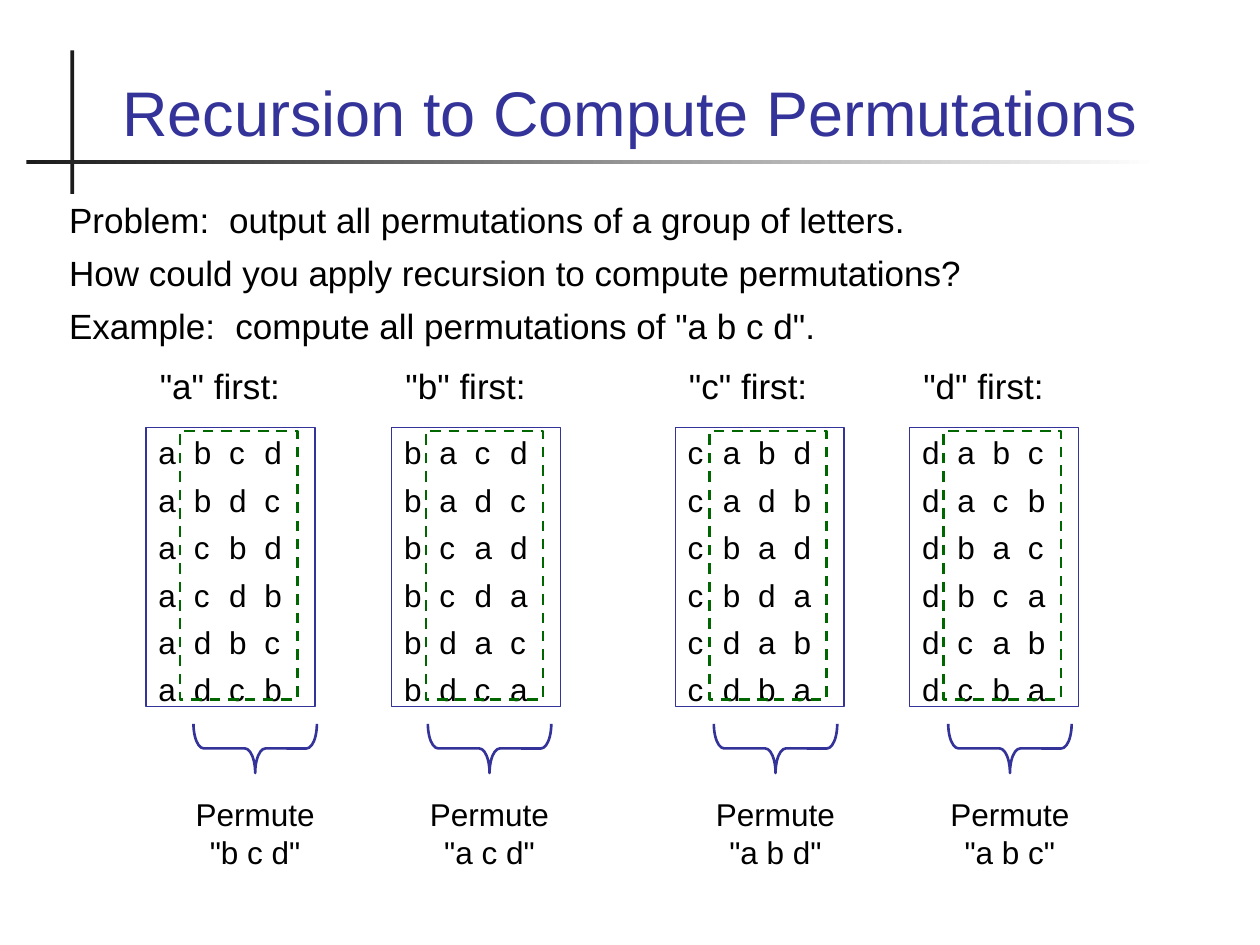
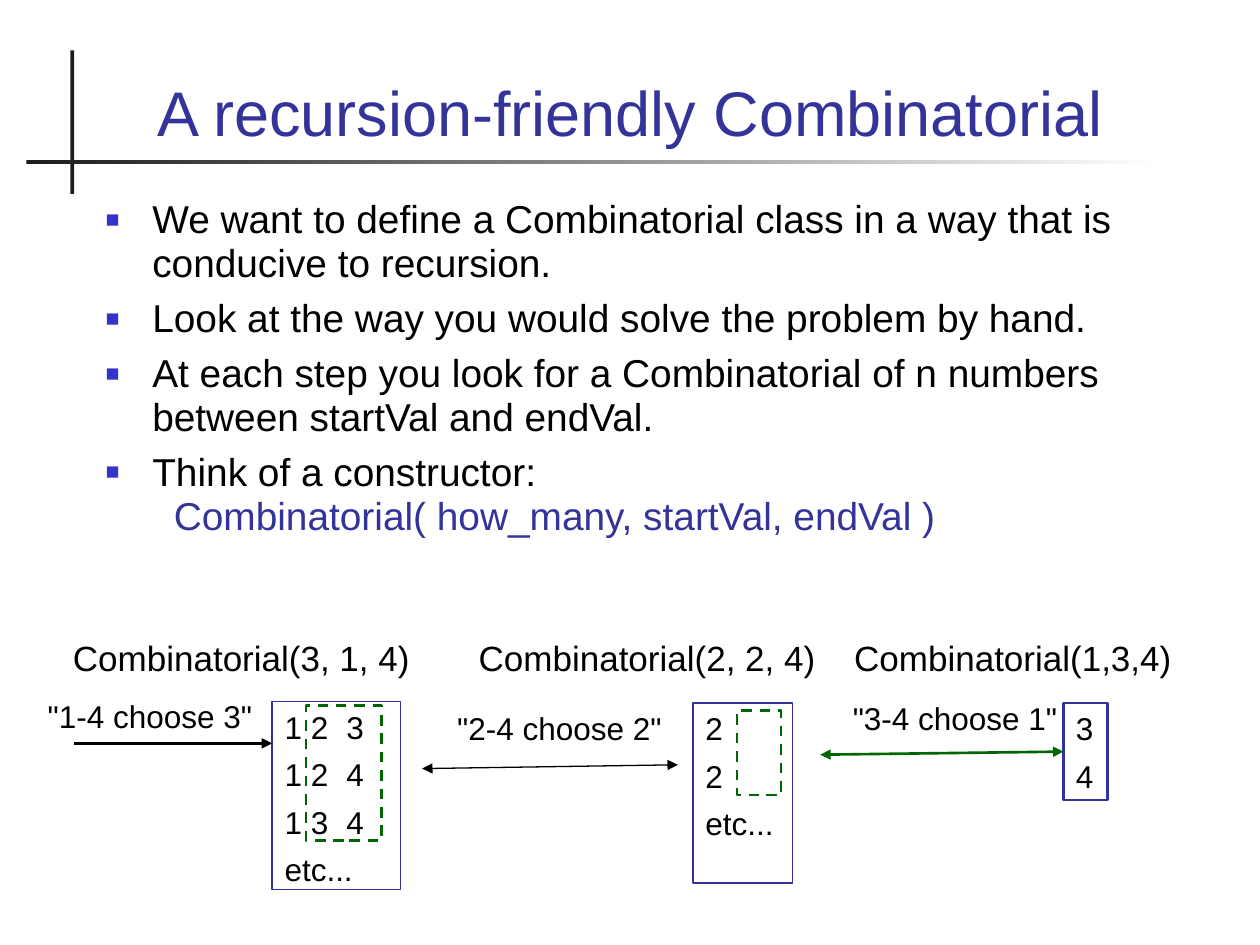
from itertools import permutations
from typing import NamedTuple, Optional, Sequence

from lxml import etree
from pptx import Presentation
from pptx import util as u
from pptx.dml.color import RGBColor
from pptx.enum import dml, shapes, text
from pptx.oxml import ns
from pptx.util import Inches

COLORS = {
    "ink": "000000",
    "navy": "333399",
    "bullet": "3333CC",
    "green": "006600",
    "rule": "1C1C1C",
    "paper": "FFFFFF",
}
FONT = "Arial"
LEFT, CENTER = text.PP_ALIGN.LEFT, text.PP_ALIGN.CENTER


class Box(NamedTuple):
    left: float
    top: float
    width: float
    height: float

    def lengths(self) -> list:
        return [Inches(side) for side in self]


class Style(NamedTuple):
    size: float = 18
    color: str = "ink"
    align: text.PP_ALIGN = LEFT
    before: float = 0
    spacing: Optional[float] = None


class Column(NamedTuple):
    first: str
    left: float
    brace_left: float


class Arrow(NamedTuple):
    start: tuple
    end: tuple
    color: str
    width: float
    double: bool


class Caption(NamedTuple):
    words: str
    box: Box


ROWS = Style(before=5.5)
PROSE = Style(size=20, before=6)
POINTS = Style(size=22.2, before=6.3, spacing=0.94)
TITLE = Style(size=36, color="navy", align=CENTER)

TITLE_BOX = Box(0.67, 0.28, 8.66, 0.95)
UPRIGHT_RULE = Box(0.56, 0.4, 0.03, 1.14)
LEVEL_RULE = Box(0.21, 1.27, 8.99, 0.03)

LETTERS = "abcd"
LETTER_STEP = 0.28
COLUMNS = [
    Column("a", 1.16, 1.83),
    Column("b", 3.11, 3.69),
    Column("c", 5.36, 5.96),
    Column("d", 7.22, 7.82),
]
INTRO = [
    ("Problem:\toutput all permutations of a group of letters.", [1.27]),
    ("How could you apply recursion to compute permutations?", []),
    ('Example:\tcompute all permutations of "a b c d".', [1.32]),
]
CLASS_POINTS = [
    "We want to define a Combinatorial class in a way that is conducive to recursion.",
    "Look at the way you would solve the problem by hand.",
    "At each step you look for a Combinatorial of n numbers between startVal and endVal.",
    "Think of a constructor:\v  Combinatorial( how_many, startVal, endVal )",
]
CHOICES = [
    Caption('"1-4 choose 3"', Box(0.28, 5.48, 1.88, 0.4)),
    Caption('"2-4 choose 2"', Box(3.53, 5.58, 1.88, 0.4)),
    Caption('"3-4 choose 1"', Box(6.67, 5.5, 2.1, 0.4)),
]


def rgb(name: str) -> RGBColor:
    return RGBColor.from_string(COLORS[name])


def add_child(parent, tag: str, **attributes: str):
    child = etree.SubElement(parent, ns.qn(tag))
    for key, value in attributes.items():
        child.set(key, value)
    return child


def set_tabs(paragraph, stops: Sequence[float]) -> None:
    if stops:
        tab_list = add_child(paragraph._p.get_or_add_pPr(), "a:tabLst")
        for stop in stops:
            add_child(tab_list, "a:tab", pos=str(Inches(stop)), algn="l")


def set_bullet(paragraph) -> None:
    properties = paragraph._p.get_or_add_pPr()
    indent = Inches(0.37)
    properties.set("marL", str(indent))
    properties.set("indent", str(-indent))
    add_child(add_child(properties, "a:buClr"), "a:srgbClr", val=COLORS["bullet"])
    add_child(properties, "a:buSzPct", val="60000")
    add_child(properties, "a:buFont", typeface=FONT)
    add_child(properties, "a:buChar", char="■")


def write(frame, lines: Sequence[str], style: Style, tabs: Sequence[float] = ()) -> None:
    """Fill a text frame with one paragraph per line."""
    frame.word_wrap = True
    frame.vertical_anchor = text.MSO_ANCHOR.TOP
    for number, line in enumerate(lines):
        paragraph = frame.add_paragraph() if number else frame.paragraphs[0]
        paragraph.text = line
        if "\t" in line:
            set_tabs(paragraph, tabs)
        paragraph.alignment = style.align
        paragraph.space_before = u.Pt(style.before if number else 0)
        if style.spacing:
            paragraph.line_spacing = style.spacing
        for run in paragraph.runs:
            run.font.name = FONT
            run.font.size = u.Pt(style.size)
            run.font.color.rgb = rgb(style.color)


def add_text(slide, box: Box, lines: Sequence[str], style: Style, tabs: Sequence[float] = ()):
    frame = slide.shapes.add_textbox(*box.lengths()).text_frame
    write(frame, lines, style, tabs)
    return frame


def add_outline(slide, box: Box, color: str, width: float, kind=shapes.MSO_SHAPE.RECTANGLE):
    outline = slide.shapes.add_shape(kind, *box.lengths())
    outline.shadow.inherit = False
    outline.fill.background()
    outline.line.color.rgb = rgb(color)
    outline.line.width = u.Pt(width)
    return outline


def add_listing(slide, box: Box, rows: Sequence[str], tabs: Sequence[float] = (), width: float = 0.75):
    listing = add_outline(slide, box, "navy", width)
    write(listing.text_frame, rows, ROWS, tabs)
    return listing


def add_subproblem(slide, box: Box) -> None:
    """Dashed frame around the part that recursion handles."""
    add_outline(slide, box, "green", 1.5).line.dash_style = dml.MSO_LINE.DASH


def add_brace(slide, left: float) -> None:
    brace = add_outline(slide, Box(left, 5.45, 0.39, 0.98), "navy", 1.5, shapes.MSO_SHAPE.RIGHT_BRACE)
    brace.adjustments[0] = 0.21
    brace.rotation = 90


def add_arrow(slide, arrow: Arrow):
    ends = [Inches(value) for value in (*arrow.start, *arrow.end)]
    connector = slide.shapes.add_connector(shapes.MSO_CONNECTOR.STRAIGHT, *ends)
    connector.line.color.rgb = rgb(arrow.color)
    connector.line.width = u.Pt(arrow.width)
    properties = connector.element.find(ns.qn("p:spPr"))
    line = properties.find(ns.qn("a:ln"))
    if arrow.double:
        add_child(line, "a:headEnd", type="triangle")
    add_child(line, "a:tailEnd", type="triangle")
    add_child(properties, "a:effectLst")
    return connector


def add_rule(slide, box: Box):
    rule = slide.shapes.add_shape(shapes.MSO_SHAPE.RECTANGLE, *box.lengths())
    rule.shadow.inherit = False
    rule.line.fill.background()
    return rule.fill


def add_titled_slide(deck, heading: str):
    slide = deck.slides.add_slide(deck.slide_layouts[5])
    upright = add_rule(slide, UPRIGHT_RULE)
    upright.solid()
    upright.fore_color.rgb = rgb("rule")
    level = add_rule(slide, LEVEL_RULE)
    level.gradient()
    level.gradient_angle = 0
    for stop, shade in zip(level.gradient_stops, ("rule", "paper")):
        stop.color.rgb = rgb(shade)

    title = slide.shapes.title
    title.left, title.top, title.width, title.height = TITLE_BOX.lengths()
    write(title.text_frame, [heading], TITLE)
    title.text_frame.vertical_anchor = text.MSO_ANCHOR.BOTTOM
    title.text_frame.auto_size = text.MSO_AUTO_SIZE.NONE
    return slide


def add_column(slide, column: Column) -> None:
    """All permutations that start with one letter."""
    rest = LETTERS.replace(column.first, "")
    rows = ["\t".join((column.first, *order)) for order in permutations(rest)]
    stops = [LETTER_STEP * place for place in range(1, len(LETTERS))]
    add_listing(slide, Box(column.left, 3.39, 1.34, 2.22), rows, stops)
    add_subproblem(slide, Box(column.left + 0.27, 3.42, 0.93, 2.13))
    label = add_text(slide, Box(column.left + 0.01, 2.84, 1.26, 0.44), [f'"{column.first}" first:'], PROSE)
    label.word_wrap = False
    add_brace(slide, column.brace_left)
    add_text(slide, Box(column.brace_left - 0.49, 6.26, 1.37, 0.7),
             [f'Permute\v"{" ".join(rest)}"'], Style(align=CENTER))


def build_permutations(deck) -> None:
    slide = add_titled_slide(deck, "Recursion to Compute Permutations")
    intro = add_text(slide, Box(0.45, 1.53, 8.66, 1.66), [line for line, _ in INTRO], PROSE)
    for paragraph, (_, stops) in zip(intro.paragraphs, INTRO):
        set_tabs(paragraph, stops)
    for column in COLUMNS:
        add_column(slide, column)


def build_combinatorial(deck) -> None:
    slide = add_titled_slide(deck, "A recursion-friendly Combinatorial")
    points = add_text(slide, Box(0.74, 1.53, 8.82, 3.07), CLASS_POINTS, POINTS)
    for paragraph in points.paragraphs:
        set_bullet(paragraph)
    constructor = points.paragraphs[-1].runs[-1]
    constructor.font.color.rgb = rgb("navy")

    calls = "Combinatorial(3, 1, 4)\tCombinatorial(2, 2, 4)\tCombinatorial(1,3,4)"
    add_text(slide, Box(0.48, 5, 9.19, 0.63), [calls], PROSE, [3.22, 6.2])

    triples = ["1\t2\t3", "1\t2\t4", "1\t3\t4", "etc..."]
    add_listing(slide, Box(2.16, 5.57, 1.02, 1.49), triples, [0.21, 0.49])
    add_subproblem(slide, Box(2.43, 5.6, 0.6, 1.07))
    add_listing(slide, Box(5.5, 5.58, 0.79, 1.43), ["2", "2", "etc..."])
    add_subproblem(slide, Box(5.85, 5.64, 0.35, 0.67))
    singles = add_listing(slide, Box(8.44, 5.58, 0.35, 0.77), ["3", "4"], width=1.5)

    add_arrow(slide, Arrow((0.59, 5.9), (2.16, 5.9), "ink", 1.5, False))
    add_arrow(slide, Arrow((3.35, 6.1), (5.38, 6.07), "ink", 0.75, True))
    to_singles = add_arrow(slide, Arrow((6.51, 5.99), (8.44, 5.97), "green", 1.5, True))
    to_singles.end_connect(singles, 1)
    for choice in CHOICES:
        add_text(slide, choice.box, [choice.words], Style())


def main() -> None:
    deck = Presentation()
    deck.slide_width, deck.slide_height = Inches(10), Inches(7.5)
    build_permutations(deck)
    build_combinatorial(deck)
    deck.save("out.pptx")


if __name__ == "__main__":
    main()
